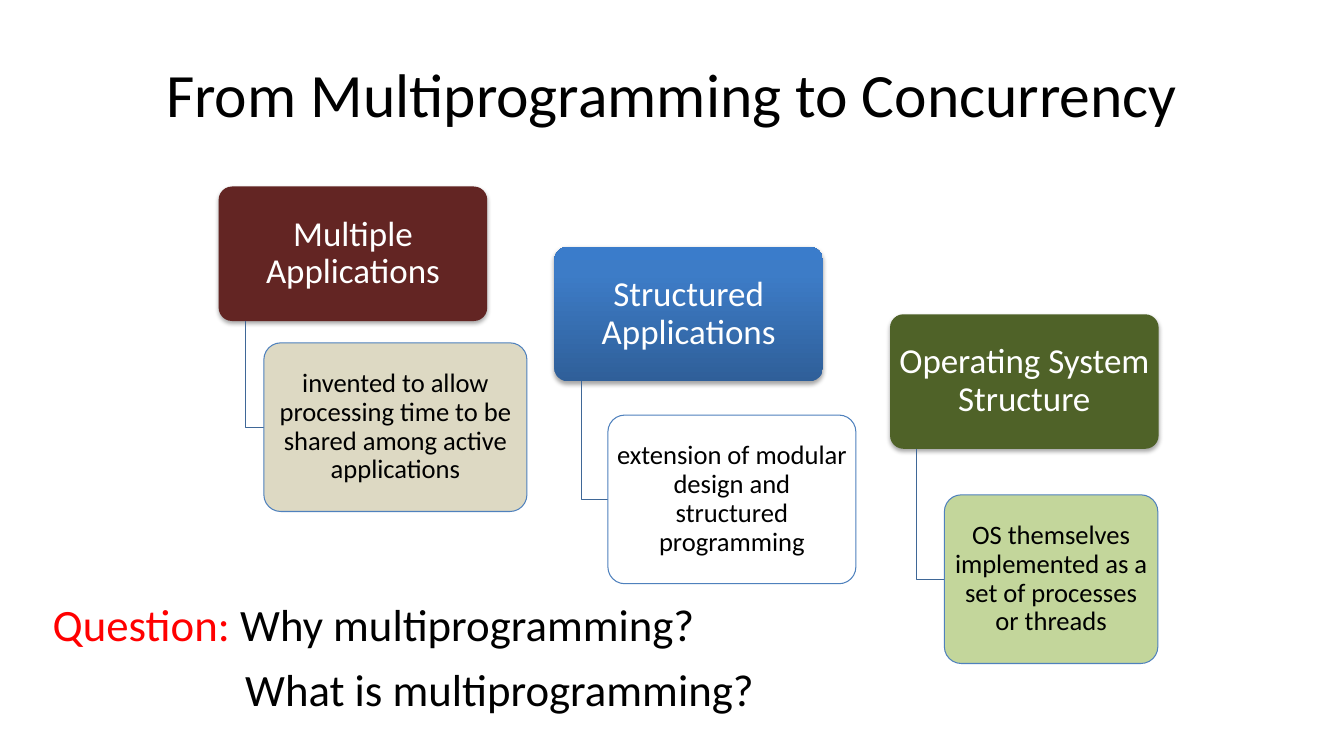
from copy import deepcopy

from lxml import etree
from pptx import Presentation
from pptx.dml.color import RGBColor
from pptx.enum.shapes import MSO_SHAPE
from pptx.enum.text import MSO_ANCHOR, PP_ALIGN
from pptx.oxml.ns import qn
from pptx.util import Cm, Pt

ROUND = MSO_SHAPE.ROUNDED_RECTANGLE
MIDDLE, TOP = MSO_ANCHOR.MIDDLE, MSO_ANCHOR.TOP
CENTER, LEFT = PP_ALIGN.CENTER, PP_ALIGN.LEFT

FONT = "Calibri"
COLORS = {
    "black": "000000", "white": "FFFFFF", "red": "FF0000",
    "maroon": "632523", "sand": "DDD9C3",
    "olive": "4F6228", "lime": "C3D69B",
    "edge": "4F81BD", "elbow": "3F6797",
    "deep": "2F5F99", "mid": "3D7CC7", "bright": "3A7CCB",
}
TITLE = "From Multiprogramming to Concurrency"

# Head text, head fill, head top, note text, note fill, note left, top, width
STEPS = [
    ("Multiple Applications", "maroon", 4.7,
     "invented to allow processing time to be shared among active applications",
     "sand", 6.65, 8.64, 6.63),
    ("Structured Applications", None, 6.22,
     "extension of modular design and structured programming",
     "white", 15.32, 10.46, 6.25),
    ("Operating System Structure", "olive", 7.92,
     "OS themselves implemented as a set of processes or threads",
     "lime", 23.8, 12.47, 5.38),
]
# Runs, box, wrap, anchor, alignment
ASKS = [
    ([("Question: ", "red"), ("Why multiprogramming?", "black")],
     (0.43, 14.81, 17.98, 1.8), True, MIDDLE, CENTER),
    ([("What is multiprogramming?", "black")],
     (5.93, 16.54, 13.49, 1.63), False, TOP, LEFT),
]
HEAD_X, HEAD_GAP, HEAD_W, HEAD_H = 5.51, 8.46, 6.77, 3.39
NOTE_H = 4.25
BLEND = [(0, "deep"), (0.8, "mid"), (1, "bright")]


def rgb(name):
    return RGBColor.from_string(COLORS[name])


def style(run, size, color):
    run.font.name = FONT
    run.font.size = Pt(size)
    run.font.color.rgb = rgb(color)


def add_card(slide, box, text, size, color):
    card = slide.shapes.add_shape(ROUND, *map(Cm, box))
    card.adjustments[0] = 0.1
    card.shadow.inherit = False
    frame = card.text_frame
    frame.text = text
    frame.word_wrap = True
    frame.vertical_anchor = MIDDLE
    frame.margin_left = frame.margin_right = Cm(0.1)
    frame.margin_top = frame.margin_bottom = Cm(0.08)
    para = frame.paragraphs[0]
    para.alignment = CENTER
    para.line_spacing = 0.9
    style(para.runs[0], size, color)
    return card


def paint(shape, color):
    shape.fill.solid()
    shape.fill.fore_color.rgb = rgb(color)


def blend(shape):
    """Fill with the three-stop gradient, darkest at the bottom."""
    shape.fill.gradient()
    shape.fill.gradient_angle = 90
    stops = shape.element.spPr.find(qn("a:gradFill")).find(qn("a:gsLst"))
    stops.append(deepcopy(stops[-1]))
    for stop, (place, color) in zip(shape.fill.gradient_stops, BLEND):
        stop.position = place
        stop.color.rgb = rgb(color)


def add_shadow(shape):
    effects = shape.element.spPr.find(qn("a:effectLst"))
    outer = etree.SubElement(effects, qn("a:outerShdw"), blurRad="40000",
                             dist="23000", dir="5400000", rotWithShape="0")
    tint = etree.SubElement(outer, qn("a:srgbClr"), val=COLORS["black"])
    etree.SubElement(tint, qn("a:alpha"), val="35000")


def add_elbow(slide, x, top, bottom, right):
    path = slide.shapes.build_freeform(Cm(x), Cm(top))
    path.add_line_segments([(Cm(x), Cm(bottom)), (Cm(right), Cm(bottom))],
                           close=False)
    elbow = path.convert_to_shape()
    elbow.fill.background()
    elbow.shadow.inherit = False
    elbow.line.color.rgb = rgb("elbow")
    elbow.line.width = Pt(0.75)


def add_step(slide, index, step):
    head, fill, top, note, tint, note_x, note_y, note_w = step
    x = HEAD_X + index * HEAD_GAP
    card = add_card(slide, (x, top, HEAD_W, HEAD_H), head, 25, "white")
    card.line.fill.background()
    if fill:
        paint(card, fill)
    else:
        blend(card)
    add_shadow(card)
    add_elbow(slide, x + HEAD_W / 10, top + HEAD_H, note_y + NOTE_H / 2, note_x)
    card = add_card(slide, (note_x, note_y, note_w, NOTE_H), note, 19, "black")
    paint(card, tint)
    card.line.color.rgb = rgb("edge")
    card.line.width = Pt(0.75)


def add_ask(slide, runs, box, wrap, anchor, align):
    frame = slide.shapes.add_textbox(*map(Cm, box)).text_frame
    frame.word_wrap = wrap
    frame.vertical_anchor = anchor
    para = frame.paragraphs[0]
    para.alignment = align
    for text, color in runs:
        run = para.add_run()
        run.text = text
        style(run, 32, color)


def main():
    deck = Presentation()
    deck.slide_width, deck.slide_height = Cm(33.87), Cm(19.05)
    slide = deck.slides.add_slide(deck.slide_layouts[5])
    title = slide.shapes.title
    title.left, title.top, title.width, title.height = map(
        Cm, (1.7, 0.76, 30.48, 3.18))
    title.text_frame.text = TITLE
    title.text_frame.vertical_anchor = MIDDLE
    para = title.text_frame.paragraphs[0]
    para.alignment = CENTER
    style(para.runs[0], 44, "black")
    for index, step in enumerate(STEPS):
        add_step(slide, index, step)
    for ask in ASKS:
        add_ask(slide, *ask)
    deck.save("out.pptx")


if __name__ == "__main__":
    main()
